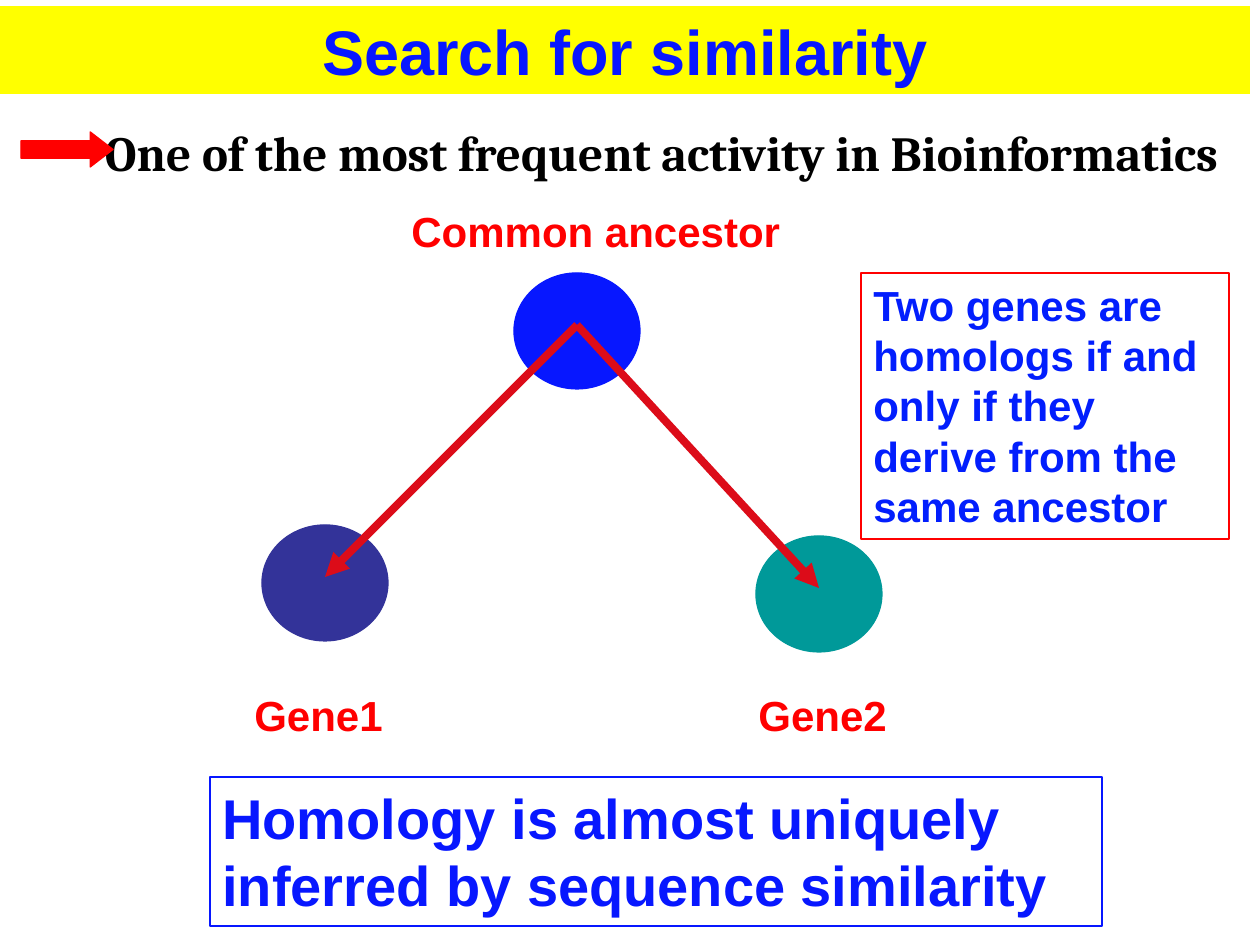
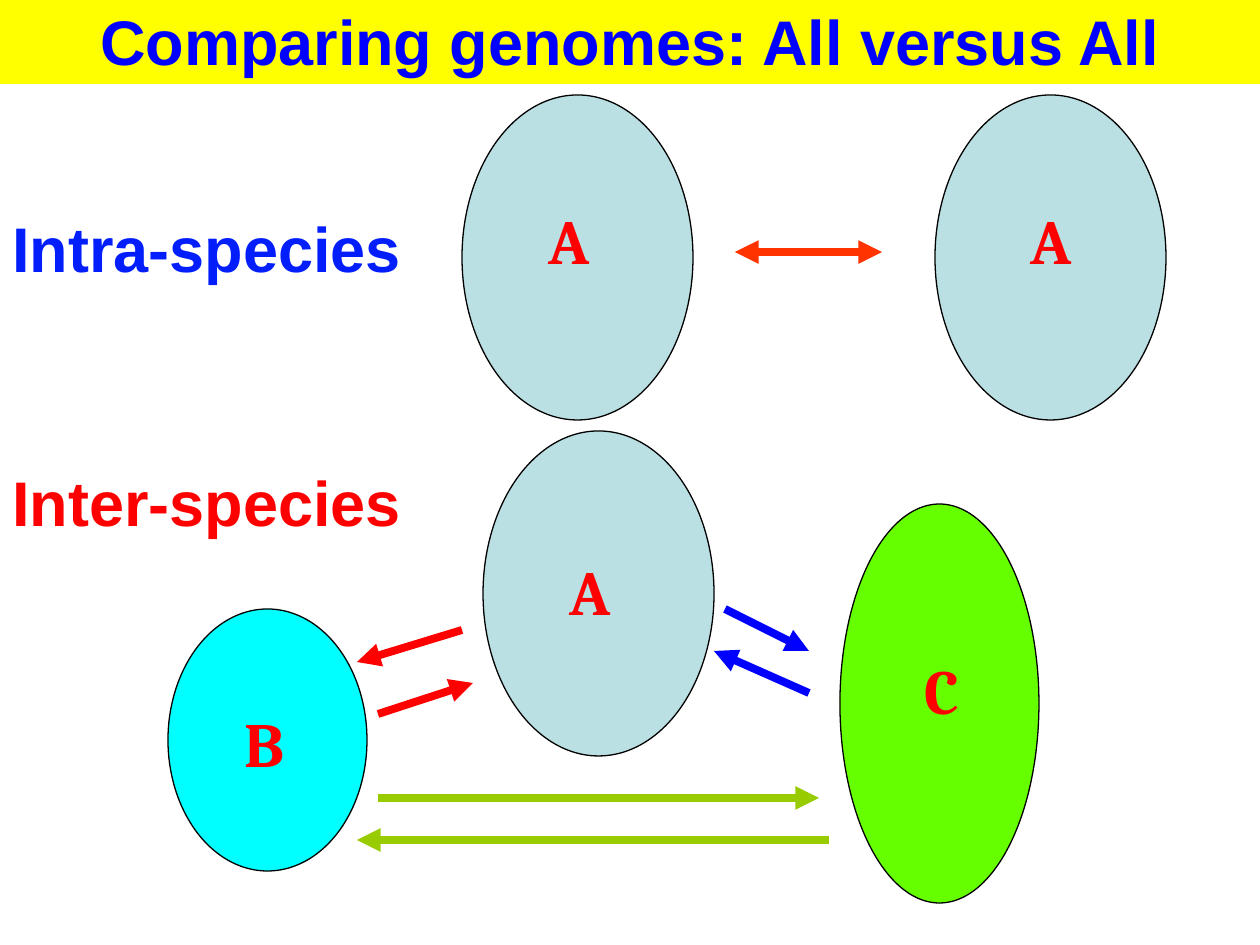
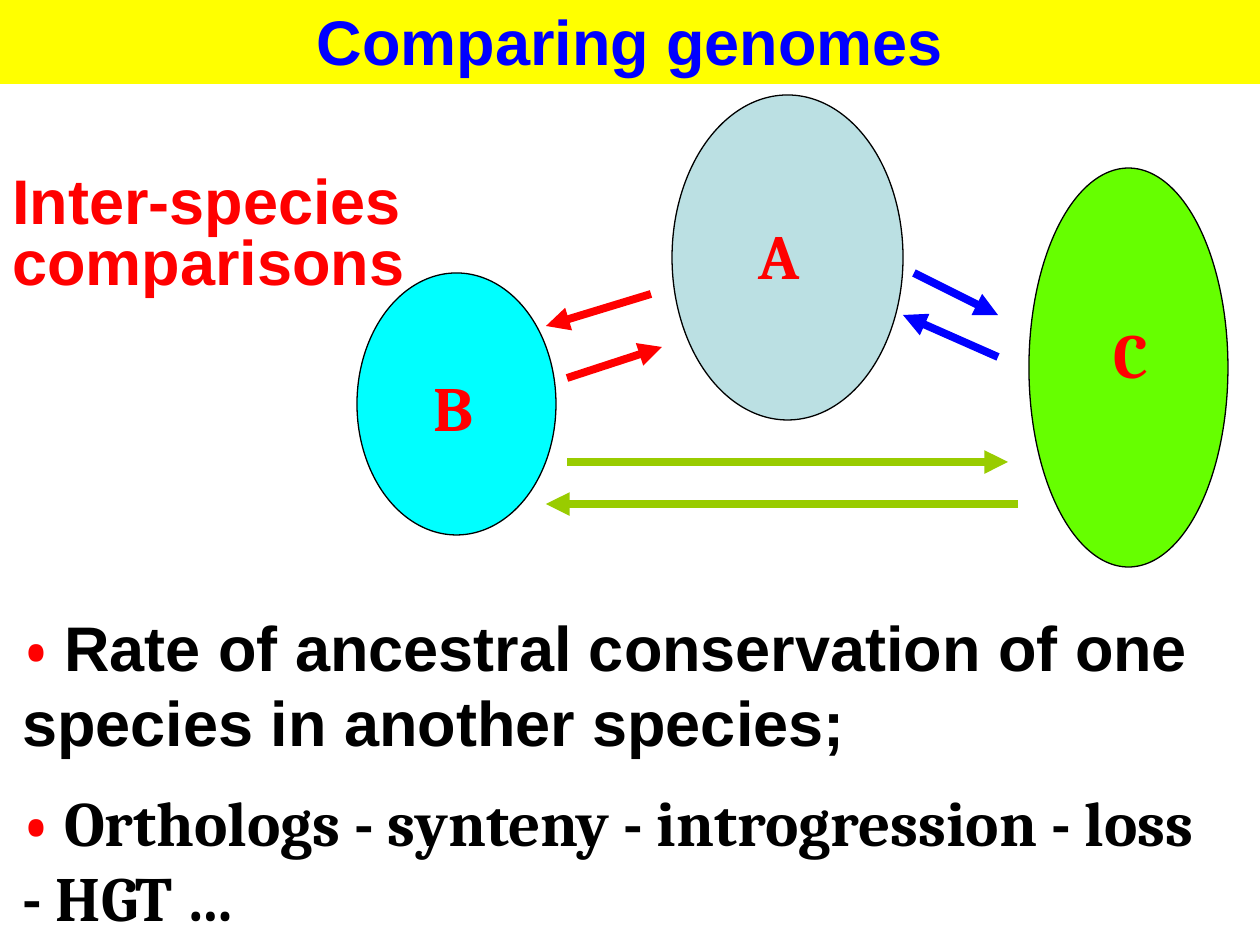
from lxml import etree
from pptx import Presentation
from pptx.dml.color import RGBColor
from pptx.enum.shapes import MSO_CONNECTOR, MSO_SHAPE
from pptx.enum.text import MSO_ANCHOR, PP_ALIGN
from pptx.oxml.ns import qn
from pptx.util import Emu, Pt

OVAL, RECTANGLE, RIGHT_ARROW = MSO_SHAPE.OVAL, MSO_SHAPE.RECTANGLE, MSO_SHAPE.RIGHT_ARROW
STRAIGHT = MSO_CONNECTOR.STRAIGHT
TOP = MSO_ANCHOR.TOP
LEFT, CENTER = PP_ALIGN.LEFT, PP_ALIGN.CENTER
TITLE_ONLY = 5
PX = 914400 / 126

COLORS = {
    "yellow": "FFFF00", "red": "FF0000", "black": "000000", "royal": "0717FF",
    "azure": "021EFD", "blue": "0000FF", "indigo": "333399", "teal": "009999",
    "crimson": "DC0C19", "orange": "FF3300", "olive": "99CC00", "pale": "BBE0E3",
    "cyan": "00FFFF", "lime": "66FF00",
}
FORMATS = {
    "title": {"name": "Arial", "size": Pt(36), "bold": True},
    "species": {"name": "Arial", "size": Pt(36), "bold": True},
    "genome": {"name": "Cambria", "size": Pt(36), "bold": True},
    "gene": {"name": "Arial", "size": Pt(24), "bold": True},
    "statement": {"name": "Arial", "size": Pt(32), "bold": True},
    "lead": {"name": "Cambria", "size": Pt(28), "bold": True},
}

BAND = (0, -4, 1260, 88)
SIMILARITY_BAND = (0, 6, 1250, 88)
LEAD = ("One of the most frequent activity in Bioinformatics", (68, 116, 1187, 72))
LEAD_ARROW = (21, 132, 92, 35)
GENE_SIZE = (126, 116)
GENES = [((514, 273), "royal"), ((262, 525), "indigo"), ((756, 536), "teal")]
DESCENT_START = (577, 325)
DESCENT_ENDS = [(325, 577), (819, 588)]
GENE_LABELS = [
    ("Gene1", (242, 683, 179, 63)),
    ("Gene2", (746, 683, 168, 63)),
    ("Common ancestor", (399, 199, 410, 63)),
]
FRAMED = [
    ("Homology is almost uniquely inferred by sequence similarity",
     (210, 777, 892, 149), "statement", "royal", "royal"),
    ("Two genes are homologs if and only if they derive from the same ancestor",
     (861, 273, 368, 266), "gene", "azure", "red"),
]

GENOMES = {
    "A": {"size": (231, 325), "fill": "pale", "label_width": 73},
    "B": {"size": (199, 262), "fill": "cyan", "label_width": 63},
    "C": {"size": (199, 399), "fill": "lime", "label_width": 63},
}
INTRA_PAIR = [("A", (462, 95), (536, 195)), ("A", (935, 95), (1018, 195))]
INTRA_ARROW = ((735, 252), (882, 252))
INTER_TRIO = [
    ("A", (483, 431), (557, 546)),
    ("B", (168, 609), (232, 698)),
    ("C", (840, 504), (912, 645)),
]
INTER_ARROWS = [
    ((462, 630), (357, 662), "red"),
    ((378, 714), (473, 683), "red"),
    ((725, 609), (809, 651), "blue"),
    ((809, 693), (714, 651), "blue"),
    ((378, 798), (819, 798), "olive"),
    ((829, 840), (357, 840), "olive"),
]
TRIO_SHIFT = (189, -336)
SPECIES_LABELS = [
    ("Intra-species", (0, 203, 431, 88), "azure"),
    ("Inter-species", (0, 457, 451, 88), "red"),
]
COMPARISONS = ("Inter-species comparisons", (0, 170, 431, 134))
FINDINGS = [
    ("Rate of ancestral conservation of one species in another species;",
     (10, 602, 1239, 164), "species"),
    ("Orthologs - synteny - introgression - loss - HGT …", (10, 777, 1218, 164), "genome"),
]


def emu(lengths):
    return [Emu(round(length * PX)) for length in lengths]


def rgb(color):
    return RGBColor.from_string(COLORS[color])


def shifted(point, offset):
    return point[0] + offset[0], point[1] + offset[1]


def write(shape, runs, align=LEFT, line_spacing=None):
    frame = shape.text_frame
    frame.word_wrap = True
    frame.vertical_anchor = TOP
    paragraph = frame.paragraphs[0]
    paragraph.alignment = align
    paragraph.line_spacing = line_spacing
    for text, style, color in runs:
        run = paragraph.add_run()
        run.text = text
        for attribute, value in FORMATS[style].items():
            setattr(run.font, attribute, value)
        run.font.color.rgb = rgb(color)


def add_text(slide, box, runs, align=LEFT, line_spacing=None):
    write(slide.shapes.add_textbox(*emu(box)), runs, align, line_spacing)


def add_figure(slide, kind, box, fill, line):
    shape = slide.shapes.add_shape(kind, *emu(box))
    shape.shadow.inherit = False
    if fill:
        shape.fill.solid()
        shape.fill.fore_color.rgb = rgb(fill)
    else:
        shape.fill.background()
    shape.line.color.rgb = rgb(line)
    shape.line.width = Pt(0.75)
    return shape


def add_arrow(slide, start, end, color, ends=("tailEnd",)):
    arrow = slide.shapes.add_connector(STRAIGHT, *emu(start + end))
    arrow.line.color.rgb = rgb(color)
    arrow.line.width = Pt(4.5)
    properties = arrow.element.spPr
    for name in ends:
        etree.SubElement(properties.find(qn("a:ln")), qn(f"a:{name}"), type="triangle")
    etree.SubElement(properties, qn("a:effectLst"))


def add_slide(presentation, title, color="blue", band=BAND):
    slide = presentation.slides.add_slide(presentation.slide_layouts[TITLE_ONLY])
    shape = slide.shapes.title
    shape.left, shape.top, shape.width, shape.height = emu(band)
    shape.fill.solid()
    shape.fill.fore_color.rgb = rgb("yellow")
    write(shape, [(title, "title", color)], CENTER)
    return slide


def add_genomes(slide, genomes, offset=(0, 0)):
    for name, corner, label_corner in genomes:
        genome = GENOMES[name]
        add_figure(slide, OVAL, shifted(corner, offset) + genome["size"], genome["fill"], "black")
        label_box = shifted(label_corner, offset) + (genome["label_width"], 88)
        add_text(slide, label_box, [(name, "genome", "red")])


def add_trio(slide, offset=(0, 0)):
    for start, end, color in INTER_ARROWS:
        add_arrow(slide, shifted(start, offset), shifted(end, offset), color)
    add_genomes(slide, INTER_TRIO, offset)


def build_similarity(presentation):
    slide = add_slide(presentation, "Search for similarity", "royal", SIMILARITY_BAND)
    for corner, color in GENES:
        add_figure(slide, OVAL, corner + GENE_SIZE, color, color)
    for end in DESCENT_ENDS:
        add_arrow(slide, DESCENT_START, end, "crimson")
    for text, box in GENE_LABELS:
        add_text(slide, box, [(text, "gene", "red")])
    text, box = LEAD
    add_text(slide, box, [(text, "lead", "black")], CENTER)
    for text, box, style, color, line in FRAMED:
        write(add_figure(slide, RECTANGLE, box, None, line), [(text, style, color)])
    lead_arrow = add_figure(slide, RIGHT_ARROW, LEAD_ARROW, "red", "red")
    lead_arrow.adjustments[0] = 0.5
    lead_arrow.adjustments[1] = 0.65


def build_all_versus_all(presentation):
    slide = add_slide(presentation, "Comparing genomes: All versus All")
    for text, box, color in SPECIES_LABELS:
        add_text(slide, box, [(text, "species", color)])
    add_arrow(slide, *INTRA_ARROW, "orange", ("headEnd", "tailEnd"))
    add_genomes(slide, INTRA_PAIR)
    add_trio(slide)


def build_comparisons(presentation):
    slide = add_slide(presentation, "Comparing genomes")
    text, box = COMPARISONS
    add_text(slide, box, [(text, "species", "red")], line_spacing=0.8)
    add_trio(slide, TRIO_SHIFT)
    for text, box, style in FINDINGS:
        add_text(slide, box, [("• ", "genome", "red"), (text, style, "black")])


def main():
    presentation = Presentation()
    presentation.slide_width, presentation.slide_height = emu((1260, 945))
    build_similarity(presentation)
    build_all_versus_all(presentation)
    build_comparisons(presentation)
    presentation.save("out.pptx")


if __name__ == "__main__":
    main()
